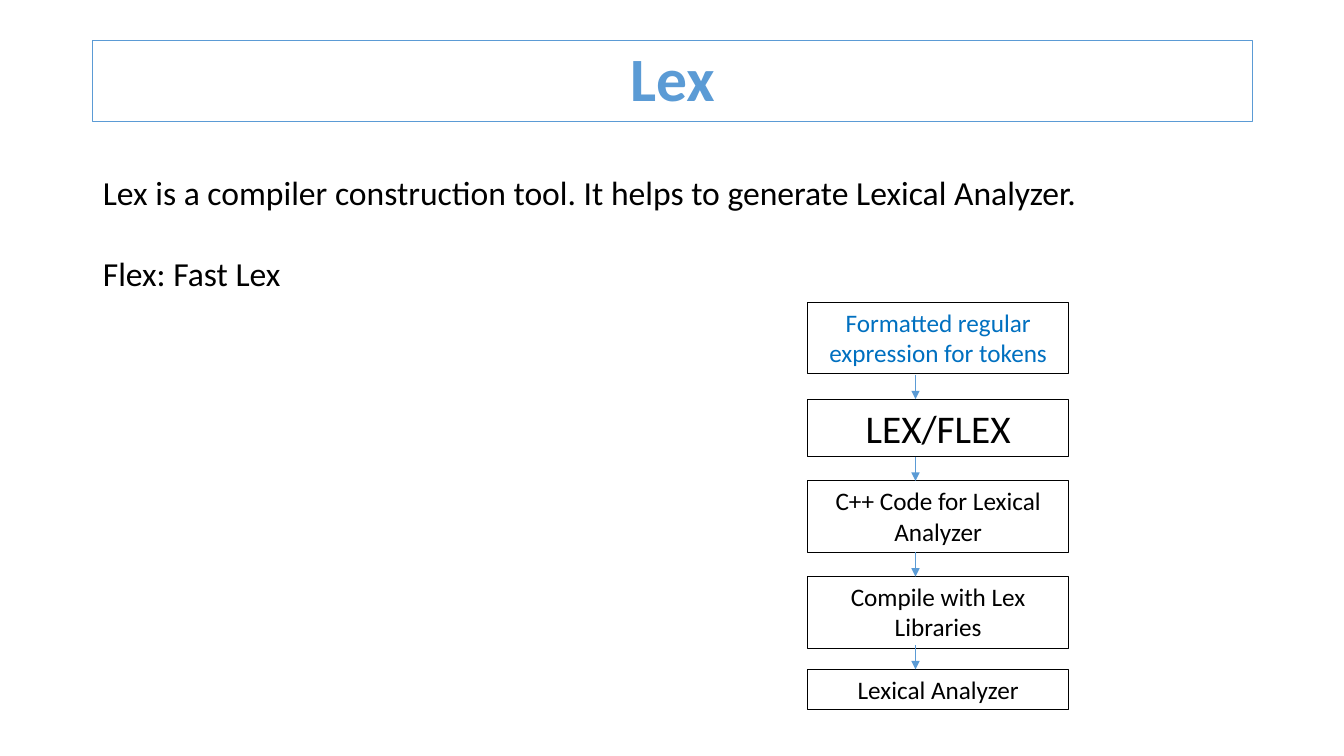
from lxml import etree
from pptx import Presentation
from pptx.dml.color import RGBColor
from pptx.enum.shapes import MSO_CONNECTOR
from pptx.enum.text import MSO_ANCHOR, MSO_AUTO_SIZE, PP_ALIGN
from pptx.oxml.ns import qn
from pptx.util import Inches, Pt

STRAIGHT = MSO_CONNECTOR.STRAIGHT
CENTER, LEFT = PP_ALIGN.CENTER, PP_ALIGN.LEFT
TOP, MIDDLE = MSO_ANCHOR.TOP, MSO_ANCHOR.MIDDLE
NO_AUTOFIT = MSO_AUTO_SIZE.NONE
FONT = "Calibri"
BLACK, BLUE, ACCENT = "000000", "0070C0", "5B9BD5"

BODY_LINES = [
    "Lex is a compiler construction tool. It helps to generate Lexical Analyzer.",
    "Flex: Fast Lex",
]
STEPS = [
    ("Formatted regular expression for tokens", 3.0, 0.71, 18, BLUE),
    ("LEX/FLEX", 3.96, 0.57, 28, BLACK),
    ("C++ Code for Lexical Analyzer", 4.77, 0.71, 18, BLACK),
    ("Compile with Lex Libraries", 5.72, 0.71, 18, BLACK),
    ("Lexical Analyzer", 6.64, 0.4, 18, BLACK),
]
ARROW_LENGTH = 0.24
ARROW_OFFSET = 1.07


def color(hex_string):
    """Return the colour for a hex string."""
    return RGBColor.from_string(hex_string)


def place(shape, left, top, width, height):
    """Move and size a shape, in inches."""
    shape.left, shape.top = Inches(left), Inches(top)
    shape.width, shape.height = Inches(width), Inches(height)


def outline(shape, hex_string, width):
    """Give a shape or connector a solid line."""
    shape.line.color.rgb = color(hex_string)
    shape.line.width = Pt(width)


def style(para, size, hex_string, alignment):
    """Set the font and alignment of a paragraph."""
    para.alignment = alignment
    para.font.name = FONT
    para.font.size = Pt(size)
    para.font.color.rgb = color(hex_string)


def prepare_frame(shape, anchor):
    """Make a text frame wrap at a fixed size and return it."""
    frame = shape.text_frame
    frame.word_wrap = True
    frame.auto_size = NO_AUTOFIT
    frame.vertical_anchor = anchor
    return frame


def fill_title(title, left, top, width, height):
    """Place the outlined slide title."""
    place(title, left, top, width, height)
    outline(title, ACCENT, 0.75)
    frame = prepare_frame(title, MIDDLE)
    frame.text = "Lex"
    para = frame.paragraphs[0]
    style(para, 44, ACCENT, CENTER)
    para.font.bold = True
    para.line_spacing = 0.9


def fill_body(body, left, top, width, height):
    """Place the unbulleted description lines."""
    place(body, left, top, width, height)
    frame = prepare_frame(body, TOP)
    frame.text = "\n".join(BODY_LINES)
    for index, para in enumerate(frame.paragraphs):
        style(para, 24, BLACK, LEFT)
        para.space_before = Pt(29 * index)
        properties = para._p.get_or_add_pPr()
        properties.set("marL", "0")
        properties.set("indent", "0")
        etree.SubElement(properties, qn("a:buNone"))
        properties.append(properties.find(qn("a:defRPr")))


def add_step(page, text, size, hex_string, left, top, width, height):
    """Add one outlined step of the flow."""
    box = page.shapes.add_textbox(
        Inches(left), Inches(top), Inches(width), Inches(height))
    outline(box, BLACK, 0.75)
    frame = prepare_frame(box, TOP)
    frame.text = text
    style(frame.paragraphs[0], size, hex_string, CENTER)


def add_arrow(page, x, bottom):
    """Add a downward arrow that ends at the given height."""
    arrow = page.shapes.add_connector(
        STRAIGHT, Inches(x), Inches(bottom - ARROW_LENGTH), Inches(x), Inches(bottom))
    outline(arrow, ACCENT, 0.5)
    etree.SubElement(arrow.line._get_or_add_ln(), qn("a:tailEnd"), type="triangle")
    etree.SubElement(arrow._element.spPr, qn("a:effectLst"))


def add_flow(page, left, width):
    """Add the column of steps and the arrows between them."""
    for text, top, height, size, hex_string in STEPS:
        add_step(page, text, size, hex_string, left, top, width, height)
    for step in STEPS[1:]:
        add_arrow(page, left + ARROW_OFFSET, step[1])


def main():
    """Build and save the deck."""
    deck = Presentation()
    deck.slide_width, deck.slide_height = Inches(13.33), Inches(7.5)
    page = deck.slides.add_slide(deck.slide_layouts[1])
    fill_title(page.shapes.title, 0.92, 0.4, 11.5, 0.81)
    fill_body(page.placeholders[1], 0.92, 1.66, 11.5, 1.31)
    add_flow(page, 8.01, 2.59)
    deck.save("out.pptx")


if __name__ == "__main__":
    main()
